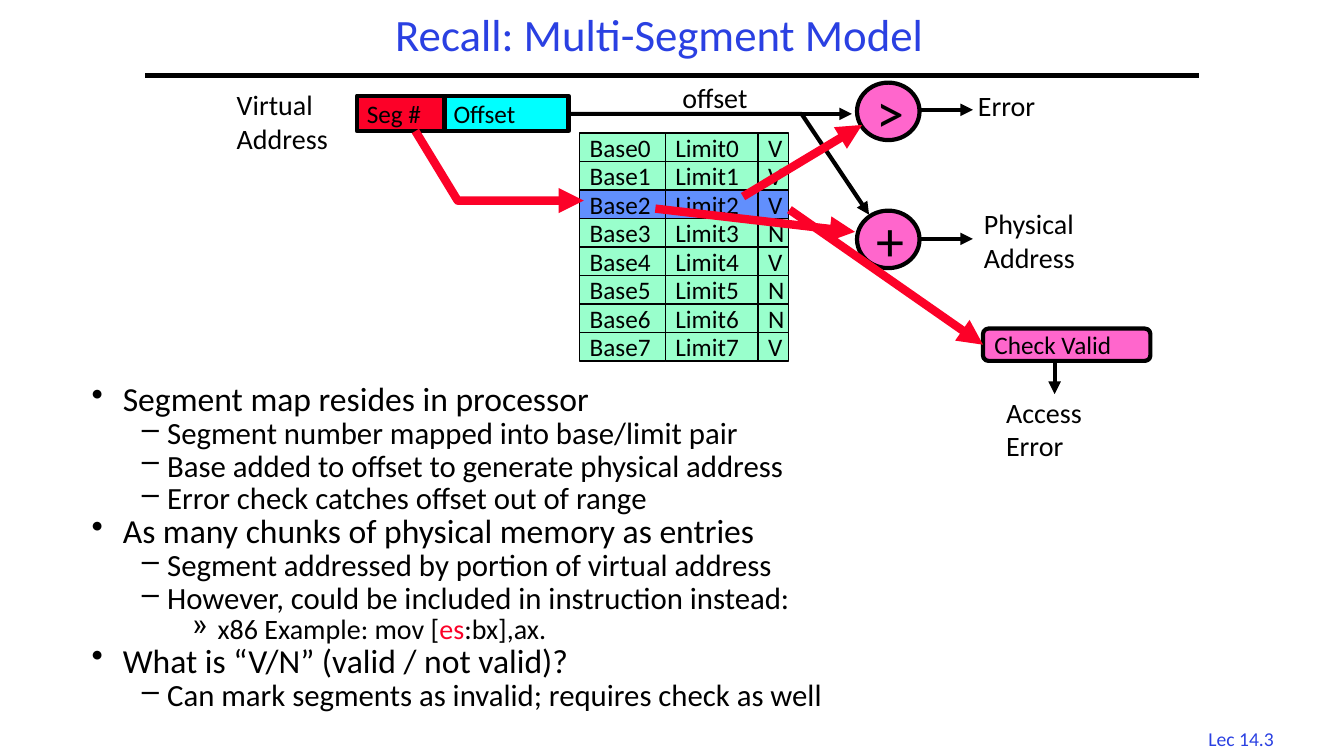
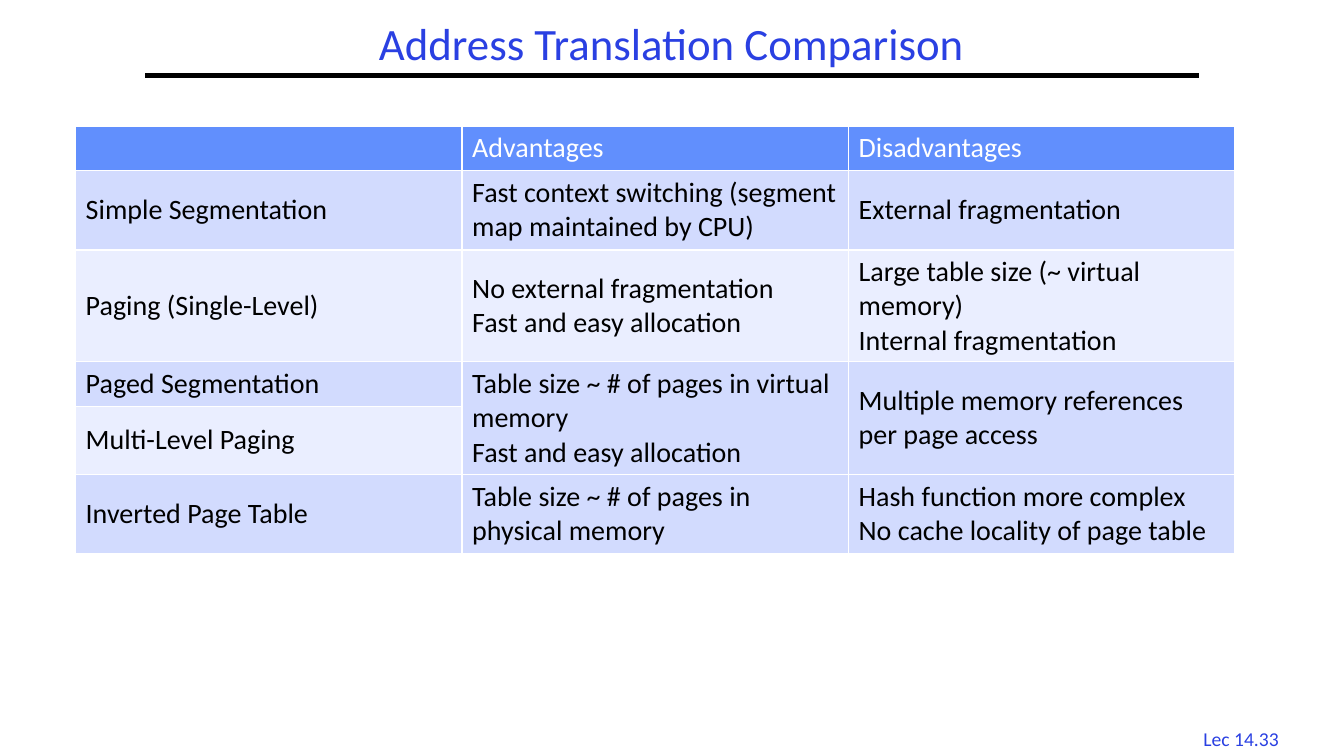
from dataclasses import dataclass
from itertools import accumulate

from lxml.etree import SubElement
from pptx import Presentation
from pptx.dml.color import RGBColor
from pptx.enum.shapes import MSO_CONNECTOR as Connector, MSO_SHAPE as Preset
from pptx.enum.text import MSO_ANCHOR as Anchor, MSO_AUTO_SIZE as AutoSize, PP_ALIGN as Align
from pptx.oxml.ns import qn
from pptx.util import Inches, Pt

FONT = "Calibri"
BLACK, WHITE, RED, TITLE_BLUE = "000000", "FFFFFF", "FC0128", "2A40E2"
GREEN, CYAN, PINK, HEADER_BLUE = "99FFCC", "00FFFF", "FF66CC", "618FFD"
BAND_DARK, BAND_LIGHT = "D2DBFE", "EAEEFF"


@dataclass(frozen=True)
class Box:
    """A filled preset shape with text."""
    text: str
    left: float
    top: float
    width: float
    height: float
    fill: str
    preset: Preset = Preset.RECTANGLE
    size: int = 18
    border: float = 3


@dataclass(frozen=True)
class Label:
    """A plain text label, one paragraph per line."""
    text: str
    left: float
    top: float
    width: float
    height: float


@dataclass(frozen=True)
class Arrow:
    """A route of points that ends in an arrowhead."""
    points: tuple
    color: str = BLACK
    weight: float = 3


@dataclass(frozen=True)
class Level:
    """The format of one outline level."""
    bullet: str
    size: int
    margin: float
    hanging: float


@dataclass(frozen=True)
class Row:
    """One row of the comparison table; None continues the cell above."""
    height: float
    fill: str
    cells: tuple
    color: str = BLACK


LEVELS = (Level("•", 24, 0.31, 0.31), Level("–", 22, 0.75, 0.25), Level("»", 20, 1.25, 0.25))

OUTLINE = (
    (0, "Segment map resides in processor"),
    (1, "Segment number mapped into base/limit pair"),
    (1, "Base added to offset to generate physical address"),
    (1, "Error check catches offset out of range"),
    (0, "As many chunks of physical memory as entries"),
    (1, "Segment addressed by portion of virtual address"),
    (1, "However, could be included in instruction instead:"),
    (2, (("x86 Example: mov [", BLACK), ("es", RED), (":bx],ax.", BLACK))),
    (0, "What is “V/N” (valid / not valid)?"),
    (1, "Can mark segments as invalid; requires check as well"),
)

VALID_FLAGS = "VVVNVNNV"
ACTIVE_SEGMENT = 2
MAP_TOP, MAP_HEIGHT = 1.32, 2.26
MAP_COLUMNS = ((5.75, 0.85), (6.6, 0.92), (7.52, 0.3))

ADDRESS_BOXES = (
    Box("Offset", 4.4, 0.95, 1.24, 0.35, CYAN),
    Box("Seg #", 3.54, 0.95, 0.87, 0.35, RED),
)
OPERATORS = (
    Box("+", 8.5, 2.09, 0.62, 0.57, PINK, Preset.OVAL, 40),
    Box(">", 8.5, 0.82, 0.62, 0.57, PINK, Preset.OVAL, 40),
)
CHECK_BOX = Box("Check Valid", 9.75, 3.26, 1.66, 0.32, PINK, Preset.ROUNDED_RECTANGLE)

OFFSET_ROUTE = Arrow(((5.62, 1.13), (7.95, 1.13), (8.62, 2.13)))
SEGMENT_ROUTE = Arrow(((4.12, 1.3), (4.54, 1.99), (5.79, 1.99)), RED, 6)
VALID_ARROW = Arrow(((7.83, 2.08), (9.75, 3.42)), RED, 6)
ARROWS = (
    Arrow(((6.5, 2.07), (8.48, 2.3)), RED, 6),
    Arrow(((9.1, 2.37), (9.65, 2.37))),
    Arrow(((7.37, 1.95), (8.55, 1.24)), RED, 6),
    Arrow(((9.1, 1.09), (9.65, 1.09))),
    Arrow(((7.95, 1.13), (8.45, 1.13))),
    Arrow(((10.46, 3.57), (10.46, 3.91))),
)
LABELS = (
    Label("Virtual\nAddress", 2.25, 0.82, 1.23, 0.77),
    Label("Physical\nAddress", 9.66, 2, 1.34, 0.77),
    Label("Error", 9.6, 0.83, 0.82, 0.43),
    Label("offset", 6.67, 0.75, 0.88, 0.44),
    Label("Access\nError", 9.88, 3.87, 1.1, 0.77),
)

COMPARISON = (
    Row(0.44, HEADER_BLUE, ("", "Advantages", "Disadvantages"), WHITE),
    Row(0.79, BAND_DARK, ("Simple Segmentation",
                          "Fast context switching (segment map maintained by CPU)",
                          "External fragmentation")),
    Row(1.11, BAND_LIGHT, ("Paging (Single-Level)",
                           "No external fragmentation\nFast and easy allocation",
                           "Large table size (~ virtual memory)\nInternal fragmentation")),
    Row(0.44, BAND_DARK, ("Paged Segmentation",
                          "Table size ~ # of pages in virtual memory\nFast and easy allocation",
                          "Multiple memory references per page access")),
    Row(0.68, BAND_LIGHT, ("Multi-Level Paging", None, None)),
    Row(0.78, BAND_DARK, ("Inverted Page Table",
                          "Table size ~ # of pages in physical memory",
                          "Hash function more complex\nNo cache locality of page table")),
)


def rgb(color: str) -> RGBColor:
    """Turn a hex string into a colour."""
    return RGBColor.from_string(color)


def inches(*lengths: float) -> list:
    """Turn numbers into lengths."""
    return [Inches(length) for length in lengths]


def add_runs(paragraph, text, *, size: float, color: str = BLACK) -> None:
    """Add a string, or a series of (text, colour) pairs, as runs."""
    for content, run_color in ((text, color),) if isinstance(text, str) else text:
        run = paragraph.add_run()
        run.text = content
        run.font.name, run.font.size, run.font.bold = FONT, Pt(size), False
        run.font.color.rgb = rgb(run_color)


def write(frame, text: str, *, size: float, color: str = BLACK, align=Align.LEFT,
          line_spacing: float = 1.0) -> None:
    """Write text into a frame, one paragraph per line."""
    for index, line in enumerate(text.split("\n")):
        paragraph = frame.add_paragraph() if index else frame.paragraphs[0]
        paragraph.alignment, paragraph.line_spacing = align, line_spacing
        if line:
            add_runs(paragraph, line, size=size, color=color)


def add_label(slide, label: Label, *, size: float = 20, color: str = BLACK,
              align=Align.LEFT) -> None:
    """Add a text box that fits its text."""
    shape = slide.shapes.add_textbox(*inches(label.left, label.top, label.width, label.height))
    shape.text_frame.word_wrap = False
    shape.text_frame.auto_size = AutoSize.SHAPE_TO_FIT_TEXT
    write(shape.text_frame, label.text, size=size, color=color, align=align)


def add_box(slide, box: Box):
    """Add a bordered shape with text."""
    shape = slide.shapes.add_shape(
        box.preset, *inches(box.left, box.top, box.width, box.height))
    shape.shadow.inherit = False
    shape.fill.solid()
    shape.fill.fore_color.rgb = rgb(box.fill)
    shape.line.color.rgb, shape.line.width = rgb(BLACK), Pt(box.border)
    shape.text_frame.word_wrap = False
    shape.text_frame.vertical_anchor = Anchor.MIDDLE
    write(shape.text_frame, box.text, size=box.size)
    return shape


def add_line(slide, arrow: Arrow, *, head: bool = True):
    """Add a straight connector, or a freeform where the route bends."""
    points = [tuple(inches(*point)) for point in arrow.points]
    if len(points) == 2:
        shape = slide.shapes.add_connector(Connector.STRAIGHT, *points[0], *points[1])
        SubElement(shape._element.spPr, qn("a:effectLst"))
    else:
        builder = slide.shapes.build_freeform(*points[0])
        builder.add_line_segments(points[1:], close=False)
        shape = builder.convert_to_shape()
        shape.shadow.inherit = False
        shape.fill.background()
    shape.line.color.rgb, shape.line.width = rgb(arrow.color), Pt(arrow.weight)
    if head:
        SubElement(shape.line._get_or_add_ln(), qn("a:tailEnd"), type="triangle")
    return shape


def add_titled_slide(presentation, title: str, footer: str, title_area: tuple):
    """Add a slide with its title, rule and footer."""
    slide = presentation.slides.add_slide(presentation.slide_layouts[5])
    shape = slide.shapes.title
    shape.left, shape.top, shape.width, shape.height = inches(*title_area)
    shape.text_frame.auto_size = AutoSize.NONE
    shape.text_frame.vertical_anchor = Anchor.MIDDLE
    write(shape.text_frame, title, size=32, color=TITLE_BLUE, align=Align.CENTER,
          line_spacing=0.9)
    add_line(slide, Arrow(((1.44, 0.75), (11.89, 0.75))), head=False)
    add_label(slide, Label(footer, 11.77, 7.16, 1.08, 0.33), size=14, color=TITLE_BLUE,
              align=Align.CENTER)
    return slide


def add_outline(slide) -> None:
    """Add the bulleted outline."""
    frame = slide.shapes.add_textbox(*inches(0.81, 3.78, 11.19, 3.5)).text_frame
    frame.word_wrap = True
    for index, (depth, text) in enumerate(OUTLINE):
        level = LEVELS[depth]
        paragraph = frame.add_paragraph() if index else frame.paragraphs[0]
        paragraph.level, paragraph.line_spacing = depth, 0.8
        paragraph.space_before = Pt(2 if index else 0)
        properties = paragraph._p.get_or_add_pPr()
        properties.set("marL", str(Inches(level.margin)))
        properties.set("indent", str(-Inches(level.hanging)))
        SubElement(properties, qn("a:buChar"), char=level.bullet)
        add_runs(paragraph, text, size=level.size)


def add_segment_map(slide) -> None:
    """Add the grid of base, limit and valid cells."""
    row_height = MAP_HEIGHT / len(VALID_FLAGS)
    for row, flag in enumerate(VALID_FLAGS):
        fill = HEADER_BLUE if row == ACTIVE_SEGMENT else GREEN
        for text, (left, width) in zip((f"Base{row}", f"Limit{row}", flag), MAP_COLUMNS):
            add_box(slide, Box(text, left, MAP_TOP + row * row_height, width, row_height,
                               fill, border=1))


def style_cell(cell, fill: str) -> None:
    """Give a cell white borders and a solid fill."""
    cell.vertical_anchor = Anchor.MIDDLE
    properties = cell._tc.get_or_add_tcPr()
    for side in ("lnL", "lnR", "lnT", "lnB"):
        border = SubElement(properties, qn(f"a:{side}"), w=str(Pt(1)))
        SubElement(SubElement(border, qn("a:solidFill")), qn("a:srgbClr"), val=WHITE)
    cell.fill.solid()
    cell.fill.fore_color.rgb = rgb(fill)


def add_comparison(slide) -> None:
    """Add the comparison table."""
    heights = [row.height for row in COMPARISON]
    table = slide.shapes.add_table(
        len(COMPARISON), 3, *inches(0.75, 1.25, 11.5, list(accumulate(heights))[-1])).table
    table.horz_banding = False
    for row_index, row in enumerate(COMPARISON):
        table.rows[row_index].height = Inches(row.height)
        for column, text in enumerate(row.cells):
            cell = table.cell(row_index, column)
            style_cell(cell, row.fill)
            if text is None:
                table.cell(row_index - 1, column).merge(cell)
            else:
                write(cell.text_frame, text, size=20, color=row.color)


def build_segment_model(presentation) -> None:
    """Build the multi-segment model slide."""
    slide = add_titled_slide(presentation, "Recall: Multi-Segment Model", "Lec 14.3",
                             (2.08, 0.08, 8.92, 0.58))
    add_outline(slide)
    add_segment_map(slide)
    for box in ADDRESS_BOXES:
        add_box(slide, box)
    add_line(slide, OFFSET_ROUTE)
    for box in OPERATORS:
        add_box(slide, box)
    check = add_box(slide, CHECK_BOX)
    for arrow in (*ARROWS, SEGMENT_ROUTE):
        add_line(slide, arrow)
    add_line(slide, VALID_ARROW).end_connect(check, 1)
    for label in LABELS:
        add_label(slide, label)


def main() -> None:
    """Build and save the presentation."""
    presentation = Presentation()
    presentation.slide_width, presentation.slide_height = inches(13.33, 7.5)
    build_segment_model(presentation)
    add_comparison(add_titled_slide(presentation, "Address Translation Comparison",
                                    "Lec 14.33", (1.44, 0.17, 10.44, 0.58)))
    presentation.save("out.pptx")


if __name__ == "__main__":
    main()
